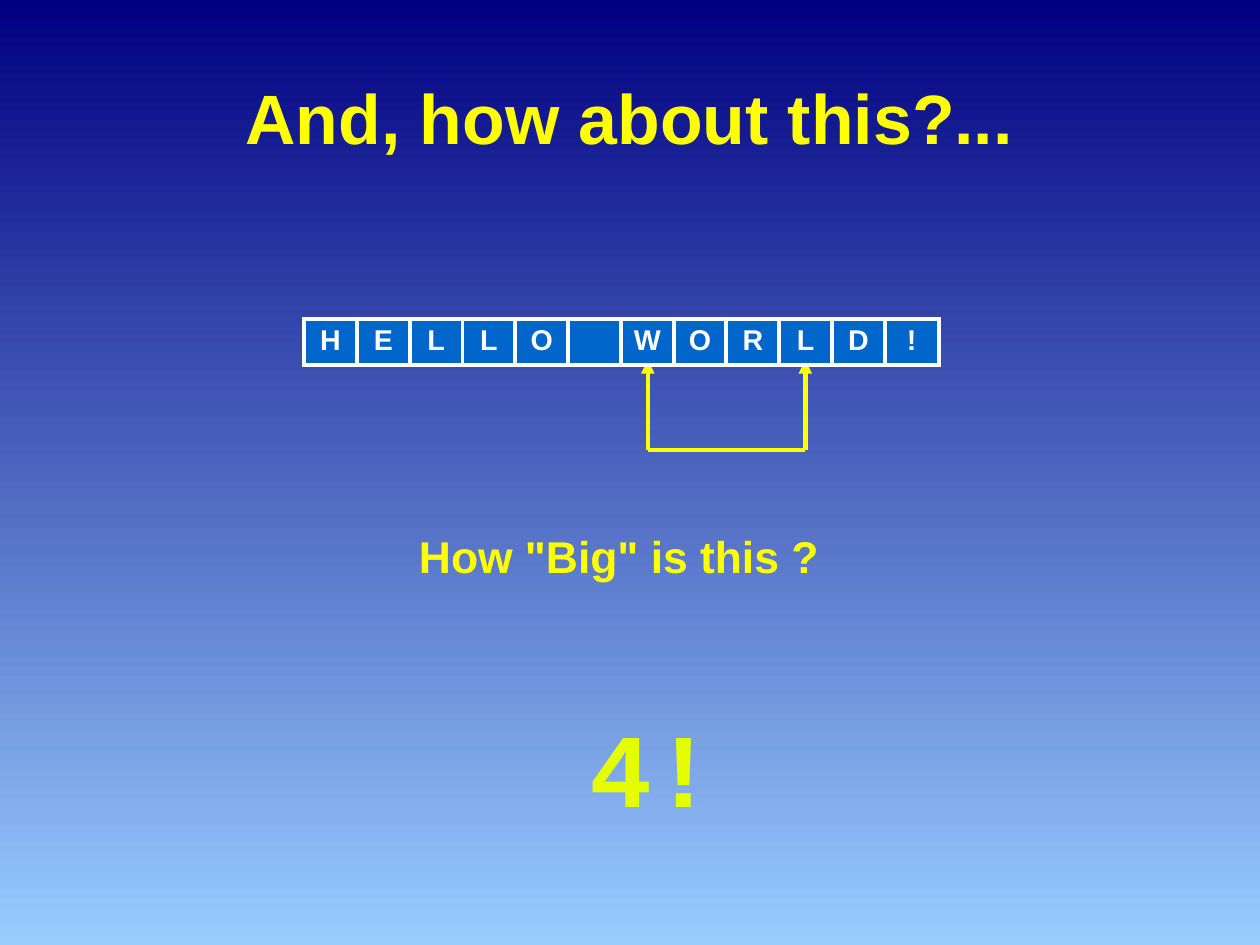
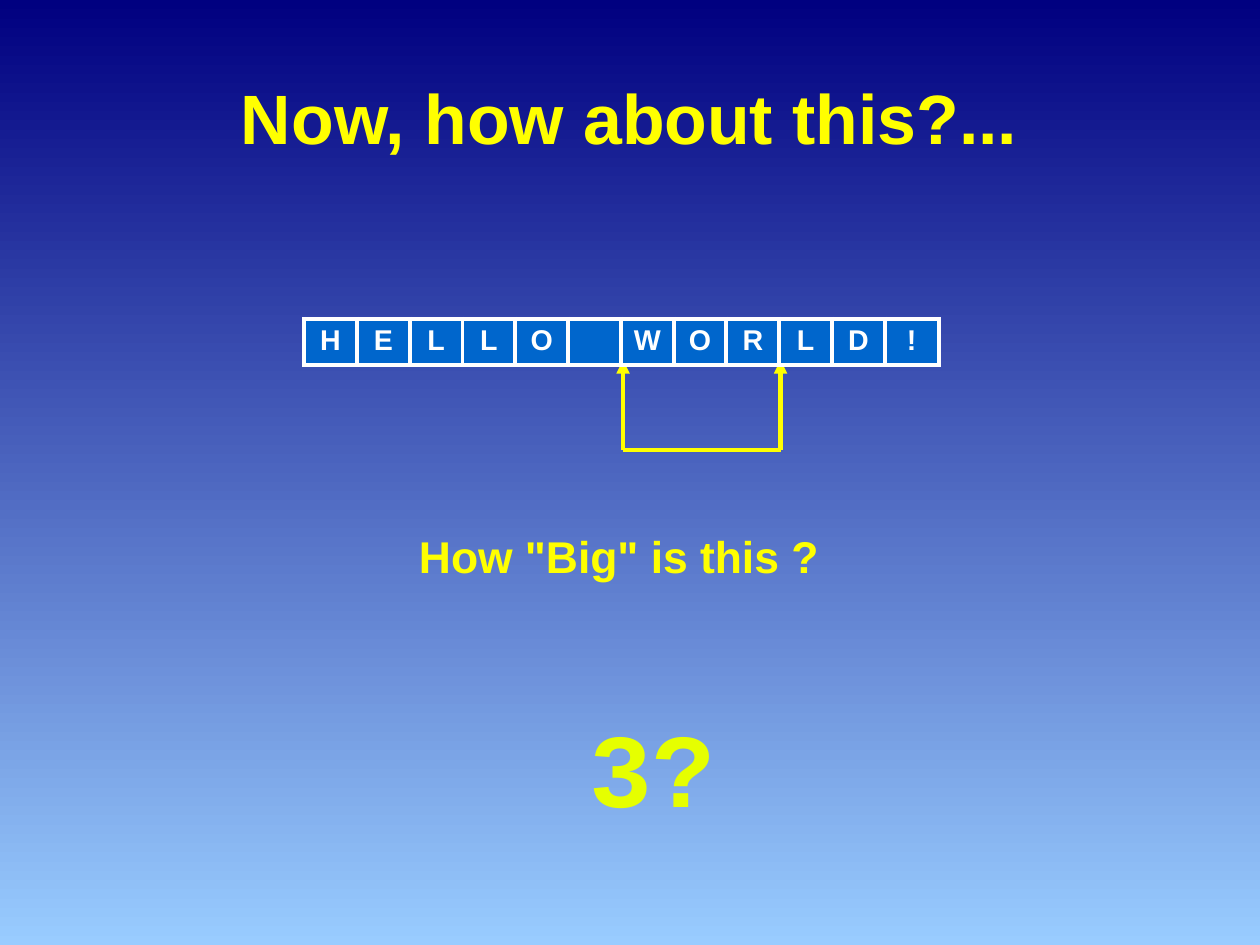
from lxml import etree
from pptx import Presentation
from pptx import util as u
from pptx.dml.color import RGBColor
from pptx.enum import shapes, text
from pptx.oxml.ns import qn


def tint(code):
    return RGBColor.from_string(code)


class Deck:
    wide, high = u.Cm(28), u.Cm(21)
    sky, dawn = "000080", "99CCFF"
    gold, lime, white, blue = "FFFF00", "E6FF00", "FFFFFF", "0066CC"
    sans, mono = "Arial", "Courier New"
    line = u.Pt(2.83)
    left, top, span, row = 24.14, 33.74, 50.36, 4.72
    step = 4.19
    word = "HELLO WORLD!"

    def __init__(self):
        self.file = Presentation()
        self.file.slide_width = self.wide
        self.file.slide_height = self.high
        self.page = None

    def x(self, share):
        return u.Emu(round(self.wide * share / 100))

    def y(self, share):
        return u.Emu(round(self.high * share / 100))

    def box(self, left, top, width, height):
        return self.x(left), self.y(top), self.x(width), self.y(height)

    def slide(self):
        self.page = self.file.slides.add_slide(self.file.slide_layouts[6])
        fill = self.page.background.fill
        fill.gradient()
        fill.gradient_angle = 270
        for stop, code in zip(fill.gradient_stops, (self.sky, self.dawn)):
            stop.color.rgb = tint(code)

    def style(self, frame, size, color, face):
        for para in frame.paragraphs:
            para.alignment = text.PP_ALIGN.CENTER
            for run in para.runs:
                font = run.font
                font.size, font.name, font.bold = u.Pt(size), face, True
                font.color.rgb = tint(color)

    def label(self, words, place, size, color=gold, face=sans):
        frame = self.page.shapes.add_textbox(*self.box(*place)).text_frame
        frame.word_wrap = True
        frame.text = words
        self.style(frame, size, color, face)
        return frame

    def title(self, words):
        frame = self.label(words, (5, 4, 90, 16.67), 44)
        frame.vertical_anchor = text.MSO_ANCHOR.MIDDLE
        frame.margin_left = frame.margin_right = 0
        frame.margin_top = frame.margin_bottom = 0

    def edge(self, cell):
        props = cell._tc.get_or_add_tcPr()
        for side in ("a:lnL", "a:lnR", "a:lnT", "a:lnB"):
            ln = etree.SubElement(props, qn(side), w=str(int(self.line)))
            fill = etree.SubElement(ln, qn("a:solidFill"))
            etree.SubElement(fill, qn("a:srgbClr"), val=self.white)

    def cells(self):
        place = self.box(self.left, self.top, self.span, self.row)
        last = len(self.word) - 1
        table = self.page.shapes.add_table(1, last + 1, *place).table
        table.first_row = table.horz_banding = False
        for col, mark in enumerate(self.word):
            share = self.step if col < last else self.span - last * self.step
            table.columns[col].width = self.x(share)
            cell = table.cell(0, col)
            self.edge(cell)
            cell.fill.solid()
            cell.fill.fore_color.rgb = tint(self.blue)
            cell.text_frame.text = mark.strip()
            self.style(cell.text_frame, 18, self.white, self.sans)

    def wire(self, group, start, end, arrow=False):
        wire = group.shapes.add_connector(
            shapes.MSO_CONNECTOR.STRAIGHT,
            self.x(start[0]), self.y(start[1]), self.x(end[0]), self.y(end[1]))
        wire.line.color.rgb = tint(self.gold)
        wire.line.width = self.line
        if arrow:
            etree.SubElement(wire.line._get_or_add_ln(), qn("a:tailEnd"),
                             type="triangle")
        etree.SubElement(wire._element.spPr, qn("a:effectLst"))

    def range(self, first):
        group = self.page.shapes.add_group_shape()
        base, tip = 47.62, 38.1
        start = self.left + self.step * first
        ends = start, start + 12.5
        for end in ends:
            self.wire(group, (end, base), (end, tip), True)
        self.wire(group, (ends[0], base), (ends[1], base))

    def quiz(self, head, reply, first):
        self.slide()
        self.title(head)
        self.label(reply, (37.5, 73.74, 28.6, 13.8), 66, self.lime, self.mono)
        self.range(first)
        self.label('How "Big" is this ?', (23.21, 55.36, 51.8, 6.5), 28)
        self.cells()


def main():
    deck = Deck()
    deck.quiz("And, how about this?...", "4!", 6.51)
    deck.quiz("Now, how about this?...", "3?", 6.04)
    deck.file.save("out.pptx")


if __name__ == "__main__":
    main()
